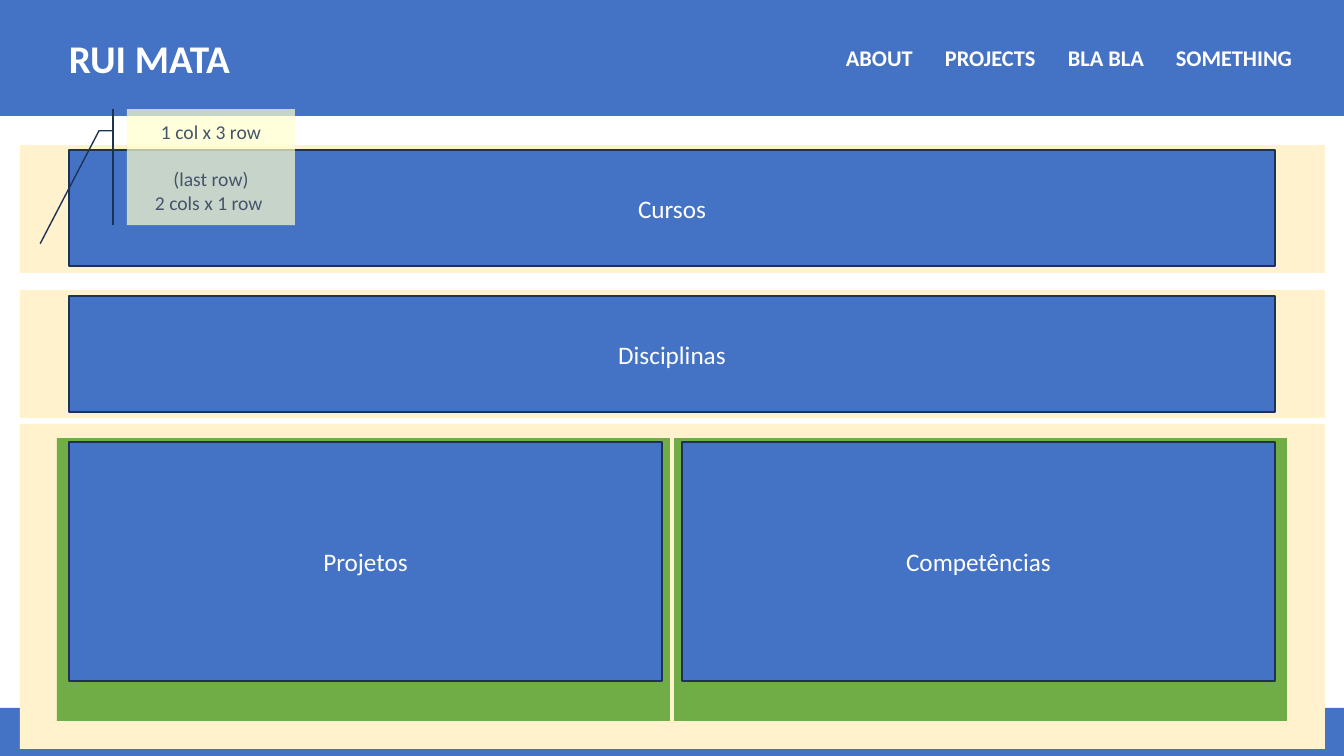
from pptx import Presentation, util as u
from pptx.dml import color
from pptx.enum import shapes, text
from lxml import etree

WIDTH, HEIGHT = 1344, 756
SCALE = 12192000 / WIDTH
FONT = "Calibri"
COLORS = {
    "blue": "4472C4", "navy": "1E3256", "cream": "FFF2CC", "green": "70AD47",
    "note": "FFFFCC", "slate": "44546A", "white": "FFFFFF",
}
RECT = shapes.MSO_SHAPE.RECTANGLE


def px(length):
    """Turn pixels into EMU."""
    return u.Emu(round(length * SCALE))


def rgb(name):
    """Look up a named colour."""
    return color.RGBColor.from_string(COLORS[name])


def add_words(paragraph, words, size, tint="white", bold=False):
    """Add one styled run to a paragraph."""
    run = paragraph.add_run()
    run.text = words
    run.font.name, run.font.size, run.font.bold = FONT, u.Pt(size), bold
    run.font.color.rgb = rgb(tint)


def add_block(slide, box, fill, outline=None, kind=RECT):
    """Add a filled shape, outlined only when a colour is given."""
    block = slide.shapes.add_shape(kind, *map(px, box))
    block.shadow.inherit = False
    block.fill.solid()
    block.fill.fore_color.rgb = rgb(fill)
    if outline:
        block.line.color.rgb = rgb(outline)
        block.line.width = u.Pt(1)
    else:
        block.line.fill.background()
    return block


def centre_text(block):
    """Centre a block's text vertically and return its frame."""
    frame = block.text_frame
    frame.word_wrap = True
    frame.vertical_anchor = text.MSO_ANCHOR.MIDDLE
    return frame


def add_card(slide, box, title):
    """Add an outlined section card with a centred title."""
    frame = centre_text(add_block(slide, box, "blue", "navy"))
    frame.paragraphs[0].alignment = text.PP_ALIGN.CENTER
    add_words(frame.paragraphs[0], title, 18)


def add_label(slide, box, words, size):
    """Add a bold one-line label for the header."""
    frame = slide.shapes.add_textbox(*map(px, box)).text_frame
    frame.word_wrap = False
    frame.auto_size = text.MSO_AUTO_SIZE.SHAPE_TO_FIT_TEXT
    add_words(frame.paragraphs[0], words, size, bold=True)


def add_layout_note(slide, box, lines):
    """Add the translucent callout; lines are (words, points before)."""
    note = add_block(slide, box, "note", "navy",
                     shapes.MSO_SHAPE.LINE_CALLOUT_2_ACCENT_BAR)
    for index, bend in enumerate((0.188, -0.083, 0.188, -0.167, 1.161, -0.517)):
        note.adjustments[index] = bend
    tint = note.fill._xPr.find(".//{*}srgbClr")
    namespace = etree.QName(tint).namespace
    etree.SubElement(tint, f"{{{namespace}}}alpha", val="70000")

    frame = centre_text(note)
    for index, (words, before) in enumerate(lines):
        paragraph = frame.add_paragraph() if index else frame.paragraphs[0]
        paragraph.alignment = text.PP_ALIGN.CENTER
        paragraph.space_before = u.Pt(before)
        add_words(paragraph, words, 14, "slate")


def main():
    """Build the portfolio page wireframe."""
    deck = Presentation()
    deck.slide_width, deck.slide_height = px(WIDTH), px(HEIGHT)
    slide = deck.slides.add_slide(deck.slide_layouts[6])

    add_block(slide, (0, 708, WIDTH, 48), "blue")
    add_block(slide, (20, 424, 1305, 325), "cream")
    for column_left in (57, 674):
        add_block(slide, (column_left, 438, 613, 283), "green")
    for row_top in (290, 145):
        add_block(slide, (20, row_top, 1305, 128), "cream")

    add_block(slide, (0, 0, WIDTH, 116), "blue")
    add_label(slide, (59, 29, 184, 58), "RUI MATA", 28)
    menu_left, menu_gap = 836, 11
    for item, width in (("ABOUT", 88), ("PROJECTS", 112),
                        ("BLA BLA", 97), ("SOMETHING", 138)):
        add_label(slide, (menu_left, 39, width, 37), item, 16)
        menu_left += width + menu_gap

    add_card(slide, (69, 150, 1206, 116), "Cursos")
    add_card(slide, (69, 442, 593, 239), "Projetos")
    add_card(slide, (682, 442, 593, 239), "Competências")
    add_card(slide, (69, 296, 1206, 116), "Disciplinas")
    add_layout_note(slide, (127, 109, 168, 116), (
        ("1 col x 3 row", 0), ("(last row)", 17), ("2 cols x 1 row ", 0)))

    deck.save("out.pptx")


main()
